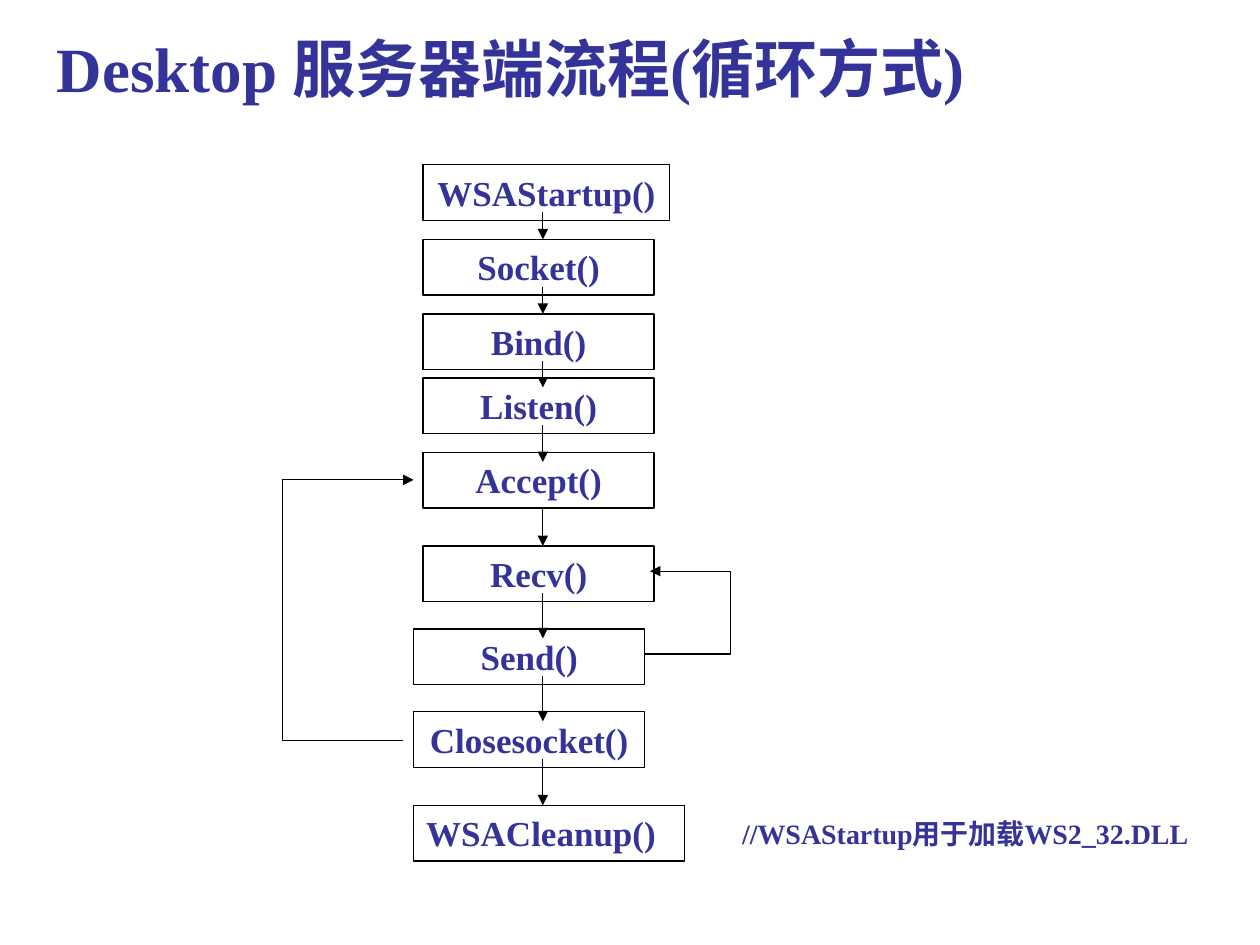
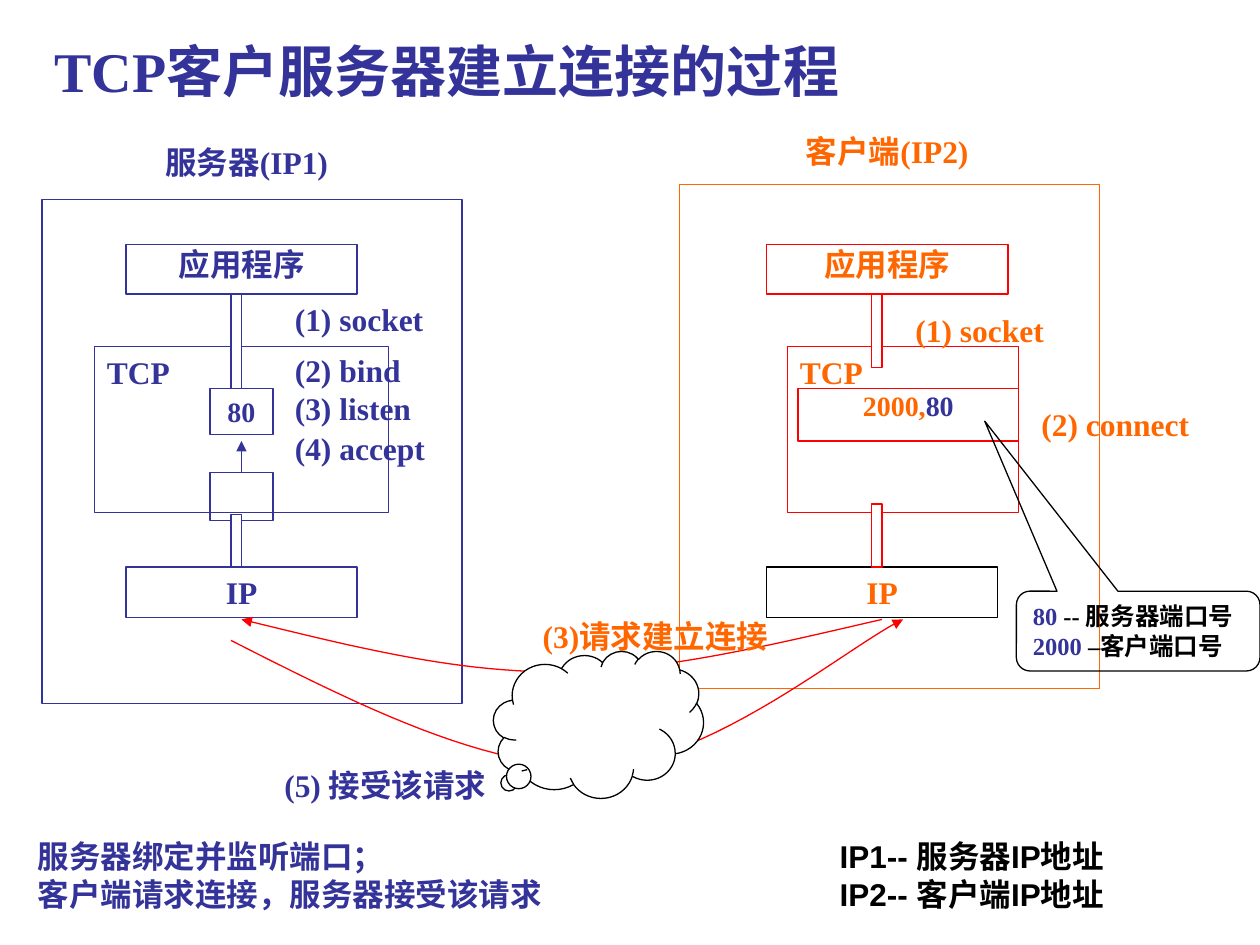
"""Build two slides on socket servers and TCP connections, on a grid of 120 columns by 90 rows."""
import dataclasses
import typing

import lxml.etree
import pptx
import pptx.dml.color
import pptx.enum.shapes
import pptx.enum.text
import pptx.oxml.ns
import pptx.shapes.autoshape
import pptx.slide
import pptx.util

WIDE, HIGH = pptx.util.Inches(10), pptx.util.Inches(7.5)
COLS, ROWS = 120, 90
NAVY, FLAME, RED, BLACK, WHITE = "333399", "FF6600", "FF0000", "000000", "FFFFFF"
SERIF, SANS = "Times New Roman", "Arial"
KIND = pptx.enum.shapes.MSO_SHAPE
ALIGN = pptx.enum.text.PP_ALIGN
Point = tuple[float, float]


@dataclasses.dataclass
class Box:
    """A shape or text box; bars in text and tint part the runs of a line."""
    left: float
    top: float
    wide: float
    high: float
    text: str = ""
    tint: str = NAVY
    edge: str = ""
    fill: str = ""
    size: float = 18
    font: str = SERIF
    mid: bool = False
    pad: bool = True
    kind: KIND = KIND.RECTANGLE
    bends: tuple[float, ...] = ()


class Step(typing.NamedTuple):
    """A call in the server flow, with the arrow's start above the bottom edge and its reach into the next box."""
    name: str
    top: float
    left: float = 40.3
    wide: float = 22
    lead: float = 0.8
    reach: float = 0
    mid: bool = True


def across(col: float) -> int:
    """Turn a column into a length."""
    return round(WIDE * col / COLS)


def down(row: float) -> int:
    """Turn a row into a length."""
    return round(HIGH * row / ROWS)


def paint(code: str) -> pptx.dml.color.RGBColor:
    """Turn a hex string into a colour."""
    return pptx.dml.color.RGBColor.from_string(code)


def stroke(shape: typing.Any, tint: str, head: bool = False, tail: bool = False) -> None:
    """Draw a thin line, with arrowheads where asked."""
    shape.line.color.rgb = paint(tint)
    shape.line.width = pptx.util.Pt(0.75)
    pen = shape._element.spPr.find(pptx.oxml.ns.qn("a:ln"))
    for want, tag in ((head, "a:headEnd"), (tail, "a:tailEnd")):
        if want:
            lxml.etree.SubElement(pen, pptx.oxml.ns.qn(tag), type="triangle")


def write(shape: typing.Any, box: Box) -> None:
    """Fill a shape with the text of a box."""
    frame = shape.text_frame
    frame.word_wrap = True
    frame.auto_size = pptx.enum.text.MSO_AUTO_SIZE.NONE
    frame.vertical_anchor = pptx.enum.text.MSO_ANCHOR.TOP
    if not box.pad:
        frame.margin_left = frame.margin_right = frame.margin_top = frame.margin_bottom = 0
    frame.text = box.text.replace("|", "")
    for line, words in zip(frame.paragraphs, box.text.split("\n")):
        line.alignment = ALIGN.CENTER if box.mid else ALIGN.LEFT
        first, *rest = words.split("|")
        line.text = first
        for part in rest:
            line.add_run().text = part
        for run, tint in zip(line.runs, box.tint.split("|")):
            run.font.name, run.font.size, run.font.bold = box.font, pptx.util.Pt(box.size), True
            run.font.color.rgb = paint(tint)


def draw(slide: pptx.slide.Slide, box: Box) -> pptx.shapes.autoshape.Shape:
    """Draw a box, as plain text when it has no edge."""
    place = across(box.left), down(box.top), across(box.wide), down(box.high)
    if box.edge:
        shape = slide.shapes.add_shape(box.kind, *place)
        shape.shadow.inherit = False
        for spot, bend in enumerate(box.bends):
            shape.adjustments[spot] = bend
        stroke(shape, box.edge)
        if box.fill:
            shape.fill.solid()
            shape.fill.fore_color.rgb = paint(box.fill)
        else:
            shape.fill.background()
    else:
        shape = slide.shapes.add_textbox(*place)
    if box.text:
        write(shape, box)
    return shape


def arrow(slide: pptx.slide.Slide, start: Point, end: Point, tint: str, base: typing.Any = None) -> None:
    """Draw a straight arrow, joined to the top of a base shape if given."""
    line = slide.shapes.add_connector(pptx.enum.shapes.MSO_CONNECTOR.STRAIGHT,
                                      across(start[0]), down(start[1]), across(end[0]), down(end[1]))
    if base is not None:
        line.begin_connect(base, 0)
    stroke(line, tint, tail=True)
    lxml.etree.SubElement(line._element.spPr, pptx.oxml.ns.qn("a:effectLst"))


def trace(slide: pptx.slide.Slide, dots: list[Point], tint: str, head: bool = False, tail: bool = False) -> None:
    """Draw an open path through the dots."""
    spots = [(across(col), down(row)) for col, row in dots]
    maker = slide.shapes.build_freeform(*spots[0])
    maker.add_line_segments(spots[1:], close=False)
    shape = maker.convert_to_shape()
    shape.shadow.inherit = False
    shape.fill.background()
    stroke(shape, tint, head, tail)


def curve(knots: list[Point], steps: int = 24) -> list[Point]:
    """Sample a chain of cubic curves."""
    dots = [knots[0]]
    for at in range(0, len(knots) - 1, 3):
        for step in range(1, steps + 1):
            t = step / steps
            parts = ((1 - t) ** 3, 3 * t * (1 - t) ** 2, 3 * t * t * (1 - t), t ** 3)
            col, row = (sum(p * k[axis] for p, k in zip(parts, knots[at:at + 4])) for axis in (0, 1))
            dots.append((col, row))
    return dots


def begin(deck: typing.Any, box: Box) -> pptx.slide.Slide:
    """Add a title-only slide with its title set as a box."""
    slide = deck.slides.add_slide(deck.slide_layouts[5])
    title = slide.shapes.title
    title.left, title.top = across(box.left), down(box.top)
    title.width, title.height = across(box.wide), down(box.high)
    write(title, box)
    return slide


def flow(deck: typing.Any) -> None:
    """Draw the server flow in a loop."""
    slide = begin(deck, Box(4.2, 2.2, 103, 8.4, "Desktop 服务器端流程(循环方式)", size=36))
    draw(slide, Box(69.5, 77.2, 46.5, 7.6, "//WSAStartup用于加载WS2_32.DLL", size=16))
    tall, axis = 5.3, 51.7
    steps = [
        Step("WSAStartup()", 15.7, wide=23.5),
        Step("Socket()", 22.8),
        Step("Bind()", 29.9, reach=0.9),
        Step("Listen()", 36, reach=0.9),
        Step("Accept()", 43.1, lead=0),
        Step("Recv()", 52, reach=0.9),
        Step("Send()", 59.9, left=39.4, reach=0.9),
        Step("Closesocket()", 67.8, left=39.4),
        Step("WSACleanup()", 76.7, left=39.4, wide=25.8, mid=False),
    ]
    for step in steps:
        draw(slide, Box(step.left, step.top, step.wide, tall, step.name, edge=BLACK, size=20, mid=step.mid))
    for step, later in zip(steps, steps[1:]):
        arrow(slide, (axis, step.top + tall - step.lead), (axis, later.top + step.reach), BLACK)
    trace(slide, [(38.4, 70.5), (26.9, 70.5), (26.9, 45.7), (39.4, 45.7)], BLACK, tail=True)
    trace(slide, [(61.3, 62.3), (69.6, 62.3), (69.6, 54.4), (61.9, 54.4)], BLACK, tail=True)


def link(deck: typing.Any) -> None:
    """Draw how a client and a server connect."""
    slide = begin(deck, Box(4, 2.9, 102, 7, "TCP客户服务器建立连接的过程", size=32))
    draw(slide, Box(2.4, 79.1, 58.6, 8.4, "服务器绑定并监听端口；\n客户端请求连接，服务器接受该请求", font=SANS))
    server = [
        Box(4, 19, 40, 48, edge=NAVY, fill=WHITE),
        Box(9, 33, 28, 15.8, "TCP", edge=NAVY, fill=WHITE),
        Box(12, 23.3, 22, 4.7, "应用程序", edge=NAVY, fill=WHITE, mid=True, pad=False),
        Box(12, 54, 22, 4.8, "IP", edge=NAVY, fill=WHITE, mid=True),
        Box(20, 37, 6, 4.4, "80", edge=NAVY, size=16, mid=True),
        Box(22, 28, 1, 9, edge=NAVY, fill=WHITE),
        Box(14, 13, 19, 4.8, "服务器(IP1)", mid=True),
    ]
    client = [
        Box(64.7, 17.6, 40, 48, edge=FLAME, fill=WHITE),
        Box(75, 33, 22, 15.8, "TCP", FLAME, RED, WHITE),
        Box(73, 23.3, 23, 4.7, "应用程序", FLAME, RED, WHITE, mid=True, pad=False),
        Box(73, 54, 22, 4.8, "IP", FLAME, BLACK, WHITE, mid=True),
        Box(76, 37, 21, 5, "2000,|80", f"{FLAME}|{NAVY}", RED, size=16, mid=True, pad=False),
        Box(83, 28, 1, 7, edge=RED, fill=WHITE),
        Box(83, 48, 1, 6, edge=RED, fill=WHITE),
        Box(75, 12, 19, 4.8, "客户端(IP2)", FLAME, mid=True),
        Box(98, 38, 22, 4.8, "(2) connect", FLAME),
        Box(86, 29, 16, 4.8, "(1) socket", FLAME),
    ]
    for box in server:
        draw(slide, box)
    queue = draw(slide, Box(20, 45, 6, 4.6, edge=NAVY))
    arrow(slide, (23, 45), (23, 42), NAVY, queue)
    draw(slide, Box(22, 49, 1, 5, edge=NAVY, fill=WHITE))
    for box in client:
        draw(slide, box)
    ask = [(23, 59), (32.9, 61.4), (42.8, 64), (53, 64), (63.1, 64), (73.6, 61.4), (84, 59)]
    reply = [(22, 61), (34.2, 67.2), (46.3, 73.3), (57, 73), (67.7, 72.7), (81.1, 61.3), (86, 59)]
    trace(slide, curve(ask), RED, head=True)
    trace(slide, curve(reply), RED, tail=True)
    notes = [
        Box(50.5, 58.2, 25.6, 4.8, "(3)请求建立连接", FLAME),
        Box(96.8, 56.3, 23.2, 7.6, "80| -- 服务器端口号\n2000| –客户端口号", f"{NAVY}|{BLACK}", BLACK,
            size=14, kind=KIND.ROUNDED_RECTANGULAR_CALLOUT, bends=(-0.63, -2.63, 0.17)),
        Box(47, 62, 20, 14, edge=BLACK, fill=WHITE, kind=KIND.CLOUD_CALLOUT, bends=(-0.44, 0.41)),
        Box(25.9, 72.4, 28.3, 4.8, "(5) 接受该请求"),
        Box(78.8, 79.1, 30.2, 8.4, "IP1-- 服务器IP地址\nIP2-- 客户端IP地址", BLACK, font=SANS),
    ]
    calls = {"(1) socket": 28, "(2) bind": 32.8, "(3) listen": 36.5, "(4) accept": 40.3}
    for box in notes + [Box(26.9, row, 19, 4.8, call) for call, row in calls.items()]:
        draw(slide, box)


def main() -> None:
    """Build and save the deck."""
    deck = pptx.Presentation()
    deck.slide_width, deck.slide_height = WIDE, HIGH
    flow(deck)
    link(deck)
    deck.save("out.pptx")


if __name__ == "__main__":
    main()
